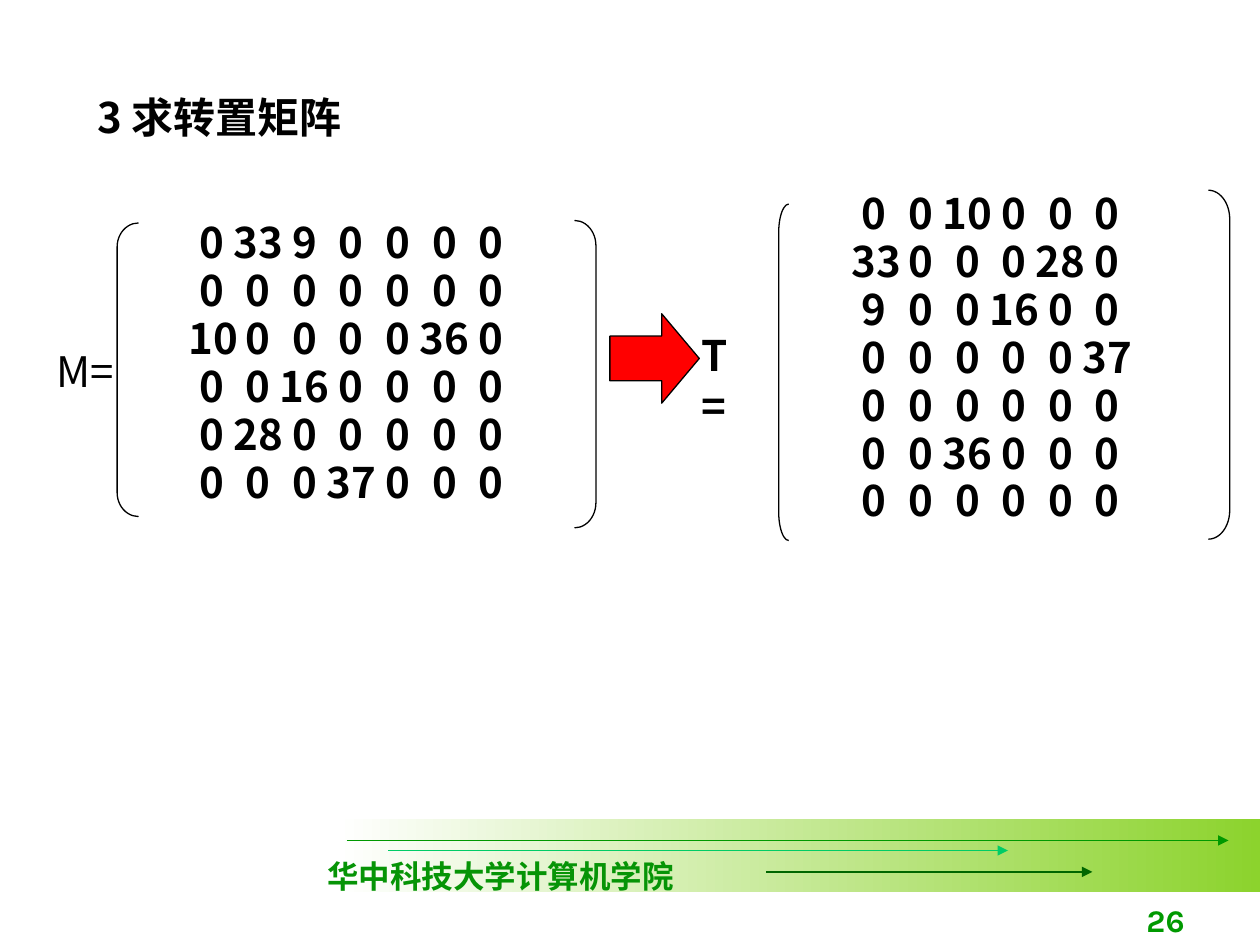
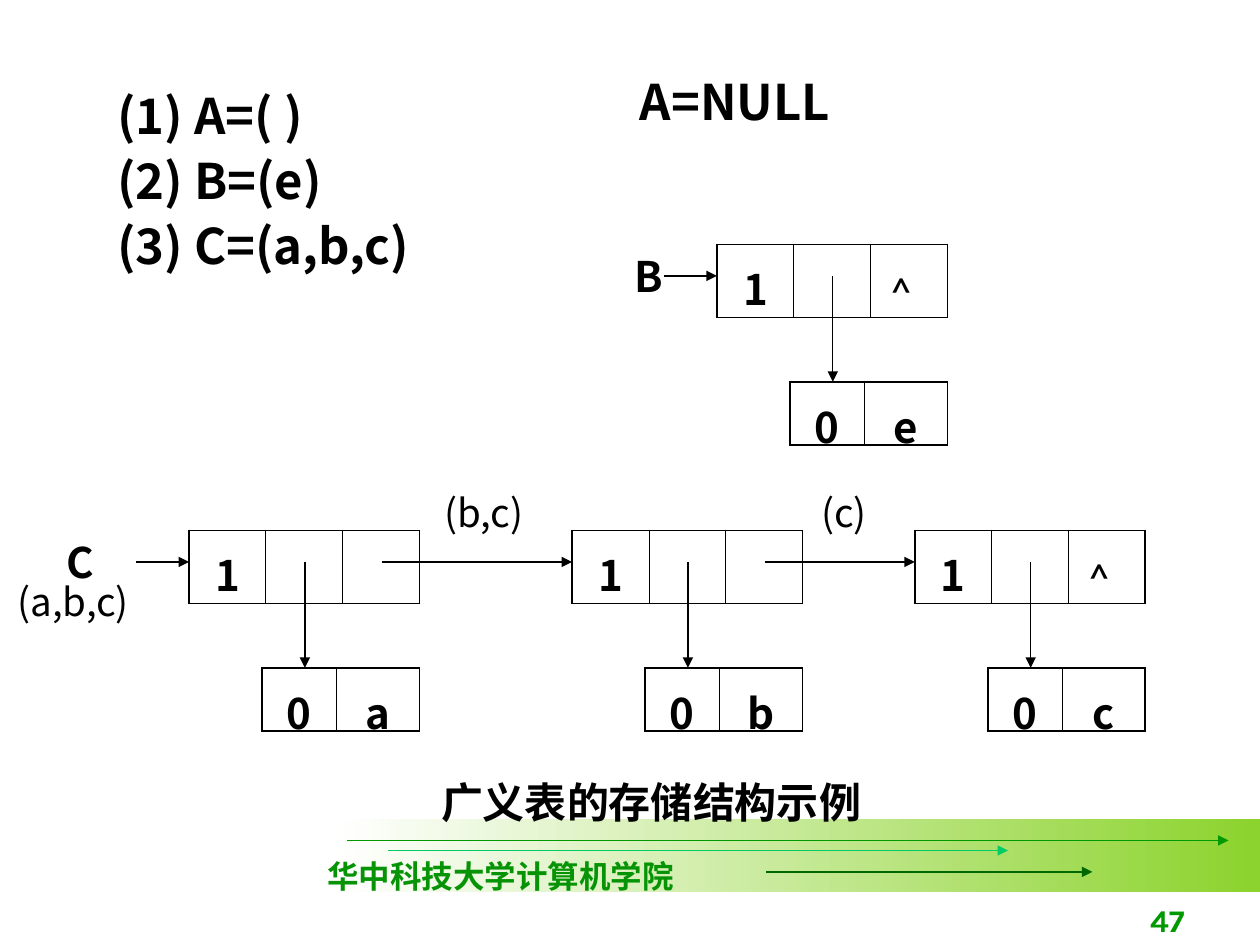
from lxml import etree
from pptx import Presentation
from pptx.dml.color import RGBColor
from pptx.enum.shapes import MSO_CONNECTOR, MSO_SHAPE
from pptx.enum.text import MSO_ANCHOR, MSO_AUTO_SIZE, PP_ALIGN
from pptx.oxml.ns import qn
from pptx.util import Inches, Pt

STRAIGHT = MSO_CONNECTOR.STRAIGHT
RECTANGLE = MSO_SHAPE.RECTANGLE
RIGHT_ARROW = MSO_SHAPE.RIGHT_ARROW
LEFT_BRACKET = MSO_SHAPE.LEFT_BRACKET
RIGHT_BRACKET = MSO_SHAPE.RIGHT_BRACKET
LEFT, CENTER, RIGHT = PP_ALIGN.LEFT, PP_ALIGN.CENTER, PP_ALIGN.RIGHT
TOP, BOTTOM = MSO_ANCHOR.TOP, MSO_ANCHOR.BOTTOM
NO_AUTOFIT = MSO_AUTO_SIZE.NONE

BLACK, WHITE, RED = "000000", "FFFFFF", "FF0000"
GREEN, MINT, DARK_GREEN = "009900", "00CC66", "006600"
LIME, SCHOOL_GREEN = "8CD32D", "069406"
BODY_FONT, FOOTER_FONT, NUMBER_FONT = "Noto Sans CJK SC", "Times New Roman", "Karla"

LINE_WIDTH, OUTER_BORDER, INNER_BORDER = 0.75, 1.08, 0.45
COLUMN_START, COLUMN_PITCH = 0.18, 0.37
LIST_COLUMNS, LIST_HEIGHT = [0.61, 0.61, 0.61], 0.58
ATOM_COLUMNS, ATOM_HEIGHT = [0.59, 0.66], 0.5
ATOM_LEFT, ATOM_TOP, POINTER_TOP = 0.58, 1.09, 0.25
ENTRY_LENGTH = 0.42

MATRIX = [
    [0, 33, 9, 0, 0, 0, 0],
    [0, 0, 0, 0, 0, 0, 0],
    [10, 0, 0, 0, 0, 36, 0],
    [0, 0, 16, 0, 0, 0, 0],
    [0, 28, 0, 0, 0, 0, 0],
    [0, 0, 0, 37, 0, 0, 0],
]


def color(value):
    """Turn a hex string into a colour."""
    return RGBColor.from_string(value)


def inches(*lengths):
    """Turn plain numbers into lengths."""
    return [Inches(length) for length in lengths]


def add_run(paragraph, text, size=24, bold=True, font=BODY_FONT, fill=BLACK):
    """Add one formatted run to a paragraph."""
    run = paragraph.add_run()
    run.text = text
    run.font.size = Pt(size)
    run.font.bold = bold
    run.font.color.rgb = color(fill)
    run.font.name = font
    east_asian = etree.SubElement(run.font._element, qn("a:ea"))
    east_asian.set("typeface", BODY_FONT)


def add_text(slide, box, text, align=LEFT, anchor=TOP, wrap=True, **style):
    """Add a one-paragraph text box."""
    frame = slide.shapes.add_textbox(*inches(*box)).text_frame
    frame.word_wrap = wrap
    frame.vertical_anchor = anchor
    paragraph = frame.paragraphs[0]
    paragraph.alignment = align
    add_run(paragraph, text, **style)


def fill_placeholder(slide, placeholder, box, lines, size=24, indent=0,
                     spacing=1, space_before=0):
    """Move a placeholder above the band and write its lines."""
    slide.shapes.element.append(placeholder.element)
    placeholder.left, placeholder.top, placeholder.width, placeholder.height = inches(*box)
    frame = placeholder.text_frame
    frame.word_wrap = True
    frame.auto_size = NO_AUTOFIT
    frame.vertical_anchor = TOP
    for index, line in enumerate(lines):
        paragraph = frame.add_paragraph() if index else frame.paragraphs[0]
        paragraph.alignment = LEFT
        paragraph.line_spacing = spacing
        paragraph.space_before = Pt(space_before if index else 0)
        properties = paragraph._p.get_or_add_pPr()
        properties.set("marL", str(Inches(indent)))
        properties.set("indent", "0")
        etree.SubElement(properties, qn("a:buNone"))
        add_run(paragraph, line, size)


def add_arrow(slide, start, end, line_color=BLACK):
    """Add a straight line with an arrowhead at its end."""
    arrow = slide.shapes.add_connector(STRAIGHT, *inches(*start, *end))
    arrow.line.color.rgb = color(line_color)
    arrow.line.width = Pt(LINE_WIDTH)
    head = etree.SubElement(arrow.line._get_or_add_ln(), qn("a:tailEnd"))
    head.set("type", "triangle")
    etree.SubElement(arrow._element.spPr, qn("a:effectLst"))


def add_outline(slide, kind, box, adjustments, fill=None):
    """Add a preset shape with a thin black line."""
    shape = slide.shapes.add_shape(kind, *inches(*box))
    shape.shadow.inherit = False
    for index, value in enumerate(adjustments):
        shape.adjustments[index] = value
    if fill:
        shape.fill.solid()
        shape.fill.fore_color.rgb = color(fill)
    else:
        shape.fill.background()
    shape.line.color.rgb = color(BLACK)
    shape.line.width = Pt(LINE_WIDTH)


def draw_footer(slide, number):
    """Draw the green band, its arrows, the school and the page number."""
    band = slide.shapes.add_shape(RECTANGLE, *inches(2.67, 6.5, 7.33, 0.58))
    band.shadow.inherit = False
    band.line.fill.background()
    band.fill.gradient()
    band.fill.gradient_angle = 0
    for stop, position, value in zip(band.fill.gradient_stops, (0, 1), (WHITE, LIME)):
        stop.position = position
        stop.color.rgb = color(value)
    for left, right, top, value in [(2.75, 9.75, 6.67, GREEN),
                                    (3.08, 8, 6.75, MINT),
                                    (6.08, 8.67, 6.92, DARK_GREEN)]:
        add_arrow(slide, (left, top), (right, top), value)
    add_text(slide, (2.5, 6.75, 2.95, 0.4), "华中科技大学计算机学院", wrap=False,
             size=18, font=FOOTER_FONT, fill=SCHOOL_GREEN)
    add_text(slide, (7.42, 7, 2.08, 0.5), number, RIGHT, BOTTOM,
             size=18, font=NUMBER_FONT, fill=GREEN)


def draw_matrix(slide, box, rows):
    """Write rows of numbers centred on evenly spaced tab stops."""
    frame = slide.shapes.add_textbox(*inches(*box)).text_frame
    frame.word_wrap = True
    for index, row in enumerate(rows):
        paragraph = frame.add_paragraph() if index else frame.paragraphs[0]
        paragraph.line_spacing = 0.95
        tabs = etree.SubElement(paragraph._p.get_or_add_pPr(), qn("a:tabLst"))
        for column in range(len(row)):
            tab = etree.SubElement(tabs, qn("a:tab"))
            tab.set("pos", str(Inches(COLUMN_START + column * COLUMN_PITCH)))
            tab.set("algn", "ctr")
        add_run(paragraph, "".join(f"\t{value}" for value in row))


def draw_bracket(slide, kind, box, corner):
    """Draw one matrix bracket with the given corner height."""
    add_outline(slide, kind, box, [corner / box[2]])


def set_borders(cell, left, right):
    """Draw a cell's four borders in black."""
    properties = cell._tc.get_or_add_tcPr()
    widths = {"lnL": left, "lnR": right, "lnT": OUTER_BORDER, "lnB": OUTER_BORDER}
    for index, (side, width) in enumerate(widths.items()):
        line = etree.Element(qn(f"a:{side}"), w=str(Pt(width)))
        fill = etree.SubElement(line, qn("a:solidFill"))
        etree.SubElement(fill, qn("a:srgbClr"), val=BLACK)
        properties.insert(index, line)


def draw_cells(slide, left, top, widths, height, texts):
    """Draw a one-row table of node fields."""
    frame = slide.shapes.add_table(1, len(widths), *inches(left, top, sum(widths), height))
    table = frame.table
    table.first_row = table.horz_banding = False
    table.rows[0].height = Inches(height)
    last = len(widths) - 1
    for index, (width, text) in enumerate(zip(widths, texts)):
        table.columns[index].width = Inches(width)
        cell = table.cell(0, index)
        cell.fill.background()
        cell.margin_top, cell.margin_bottom = inches(0.1, 0)
        set_borders(cell, INNER_BORDER if index else OUTER_BORDER,
                    OUTER_BORDER if index == last else INNER_BORDER)
        paragraph = cell.text_frame.paragraphs[0]
        paragraph.alignment = CENTER
        if text:
            add_run(paragraph, text)


def draw_node(slide, left, top, atom, following=None):
    """Draw a list node, its atom, and a link to the next node or a nil mark."""
    draw_cells(slide, left, top, LIST_COLUMNS, LIST_HEIGHT, ["1", "", ""])
    draw_cells(slide, left + ATOM_LEFT, top + ATOM_TOP, ATOM_COLUMNS, ATOM_HEIGHT, ["0", atom])
    pointer, link = left + 0.92, left + 1.53
    add_arrow(slide, (pointer, top + POINTER_TOP), (pointer, top + ATOM_TOP))
    if following:
        add_arrow(slide, (link, top + POINTER_TOP), (following, top + POINTER_TOP))
    else:
        add_text(slide, (left + 1.28, top + 0.09, 0.47, 0.5), "^", bold=False, font=NUMBER_FONT)


def draw_chain(slide, lefts, top, atoms, name, name_left):
    """Draw a named chain of linked nodes."""
    add_text(slide, (name_left, top, 0.42, 0.5), name)
    entry = top + POINTER_TOP
    add_arrow(slide, (lefts[0] - ENTRY_LENGTH, entry), (lefts[0], entry))
    for left, atom, following in zip(lefts, atoms, [*lefts[1:], None]):
        draw_node(slide, left, top, atom, following)


def build_transpose_slide(presentation):
    """Show a matrix and its transpose."""
    slide = presentation.slides.add_slide(presentation.slide_layouts[5])
    draw_footer(slide, "26")
    fill_placeholder(slide, slide.shapes.title, (0.67, 0.68, 5.12, 0.5), ["3 求转置矩阵"])
    add_text(slide, (0.35, 2.69, 0.69, 0.5), "M=", wrap=False, bold=False)
    draw_bracket(slide, LEFT_BRACKET, (0.93, 1.77, 0.17, 2.33), 0.19)
    draw_matrix(slide, (1.4, 1.7, 2.87, 2.38), MATRIX)
    draw_bracket(slide, RIGHT_BRACKET, (4.56, 1.75, 0.17, 2.44), 0.2)
    add_text(slide, (5.47, 2.57, 0.5, 0.9), "T=")
    add_outline(slide, RIGHT_ARROW, (4.84, 2.49, 0.71, 0.71), [0.5, 0.42], RED)
    draw_bracket(slide, LEFT_BRACKET, (6.18, 1.62, 0.08, 2.67), 0.23)
    draw_matrix(slide, (6.66, 1.47, 2.5, 2.76), list(zip(*MATRIX)))
    draw_bracket(slide, RIGHT_BRACKET, (9.59, 1.51, 0.17, 2.77), 0.23)


def build_list_slide(presentation):
    """Show how generalized lists are stored."""
    slide = presentation.slides.add_slide(presentation.slide_layouts[1])
    draw_footer(slide, "47")
    fill_placeholder(slide, slide.placeholders[1], (0.64, 0.68, 3.73, 1.67),
                     ["(1) A=( )", "(2) B=(e)", "(3) C=(a,b,c)"],
                     size=28, indent=0.19, spacing=0.9, space_before=7)
    add_text(slide, (4.98, 0.52, 3.25, 0.57), "A=NULL", size=28)
    draw_chain(slide, [5.69], 1.94, "e", "B", 4.94)
    draw_chain(slide, [1.5, 4.54, 7.26], 4.21, "abc", "C", 0.43)
    for left, top, width, sublist in [(0.04, 4.54, 1.42, "(a,b,c)"),
                                      (3.43, 3.83, 1.1, "(b,c)"),
                                      (6.42, 3.83, 1.1, "(c)")]:
        add_text(slide, (left, top, width, 0.47), sublist, size=22, bold=False)
    fill_placeholder(slide, slide.shapes.title, (3.4, 6.11, 3.88, 0.5), ["广义表的存储结构示例"])


def main():
    """Build and save both slides."""
    presentation = Presentation()
    presentation.slide_width, presentation.slide_height = inches(10, 7.5)
    build_transpose_slide(presentation)
    build_list_slide(presentation)
    presentation.save("out.pptx")


if __name__ == "__main__":
    main()
